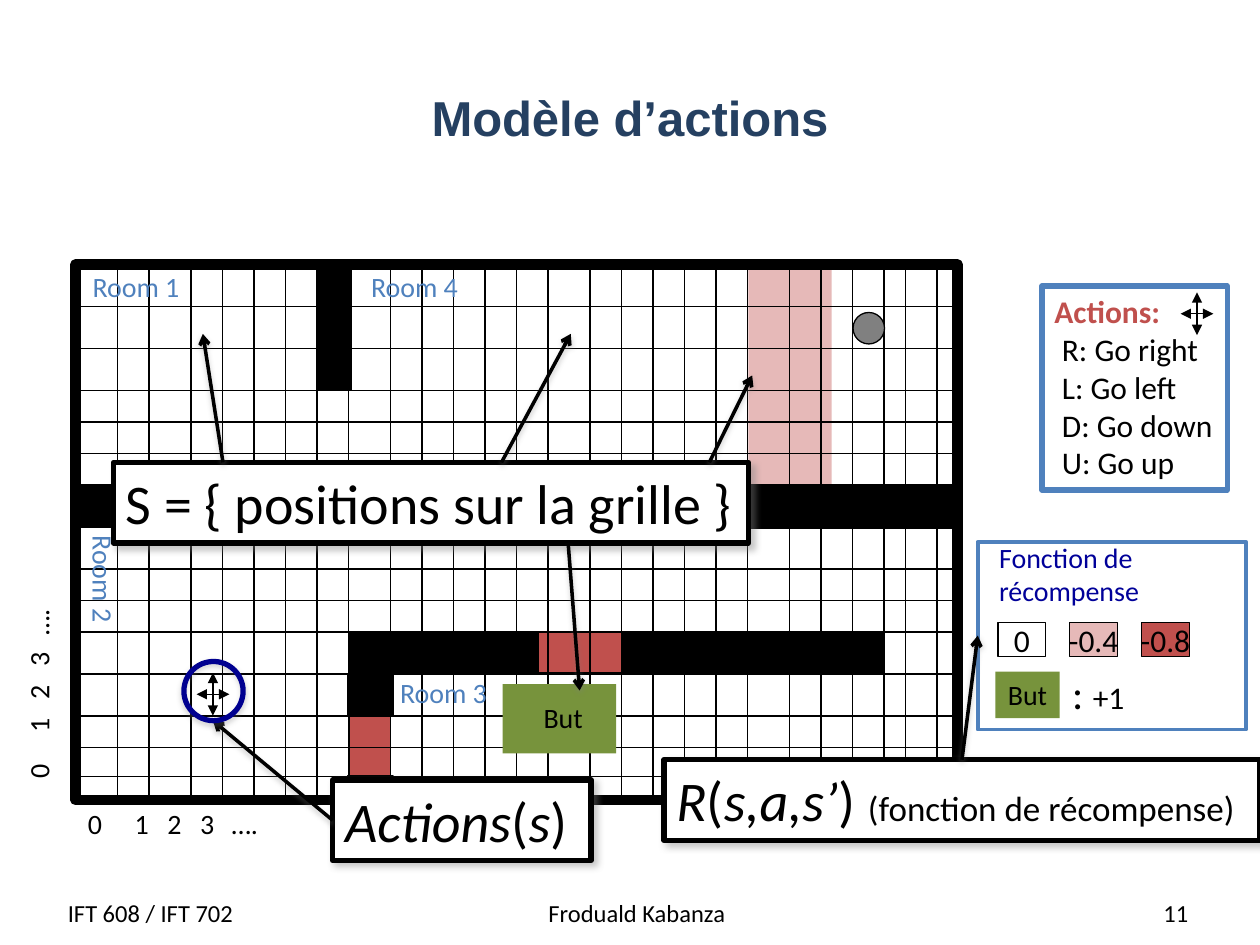
from itertools import accumulate
from lxml import etree
from pptx import Presentation
from pptx.dml.color import RGBColor
from pptx.enum import shapes, text
from pptx.oxml import ns
from pptx.util import Inches, Pt

COLORS = {
    "black": "000000", "white": "FFFFFF", "navy": "254061", "blue": "4F81BD",
    "pink": "E6B9B8", "red": "C0504D", "green": "77933C", "grey": "808080",
    "ink": "000099", "ring": "000090",
}
RECT, OVAL = shapes.MSO_SHAPE.RECTANGLE, shapes.MSO_SHAPE.OVAL
LEFT, CENTER, RIGHT = text.PP_ALIGN.LEFT, text.PP_ALIGN.CENTER, text.PP_ALIGN.RIGHT
TOP, MIDDLE = text.MSO_ANCHOR.TOP, text.MSO_ANCHOR.MIDDLE
NARROW, WIDE = 0.25, 1 / 3
GRID_LEFT, GRID_TOP, GRID_RIGHT, GRID_BOTTOM = 0.6, 2.1, 7.6, 6.35
COLUMNS = ([WIDE, NARROW] + ([WIDE] + [NARROW] * 5) * 3
           + [WIDE] + [NARROW] * 3 + [0.17, NARROW])
ROWS = [WIDE] * 3 + [NARROW] * 3 + [WIDE] * 2 + [NARROW] * 2 + [WIDE] * 2 + [NARROW, 0.23]
BOX_SHADOW = (43, 4, 3, 45)
LINE_SHADOW = (38, 3.1, 1.6, 90)
RING_SHADOW = (35, 3.1, 1.8, 90)


def rgb(name):
    return RGBColor.from_string(COLORS[name])


def sub(parent, tag, **attrs):
    return etree.SubElement(parent, ns.qn(tag), {k: str(v) for k, v in attrs.items()})


def cast_shadow(effects, shadow):
    alpha, blur, dist, angle = shadow
    outer = sub(effects, "a:outerShdw", blurRad=int(Pt(blur)), dist=int(Pt(dist)),
                dir=angle * 60000, rotWithShape=0)
    sub(sub(outer, "a:srgbClr", val=COLORS["grey"]), "a:alpha", val=alpha * 1000)


def style(run, size, color, bold=False, italic=False, font="Calibri"):
    f = run.font
    f.name, f.size, f.bold, f.italic = font, Pt(size), bold, italic
    f.color.rgb = rgb(color)


def write(shape, content, size, color="black", align=LEFT, anchor=TOP, wrap=False):
    tf = shape.text_frame
    tf.text = content
    tf.word_wrap = wrap
    tf.vertical_anchor = anchor
    for p in tf.paragraphs:
        p.alignment = align
        for r in p.runs:
            style(r, size, color)
    return shape


def write_runs(shape, runs, color="black"):
    tf = shape.text_frame
    tf.vertical_anchor = TOP
    p = tf.paragraphs[0]
    p.alignment = LEFT
    for content, size, italic in runs:
        r = p.add_run()
        r.text = content
        style(r, size, color, italic=italic)
    return shape


def block(s, x, y, w, h, fill=None, line=None, width=0.75, kind=RECT, shadow=None):
    sp = s.shapes.add_shape(kind, Inches(x), Inches(y), Inches(w), Inches(h))
    if fill:
        sp.fill.solid()
        sp.fill.fore_color.rgb = rgb(fill)
    else:
        sp.fill.background()
    if line:
        sp.line.color.rgb = rgb(line)
        sp.line.width = Pt(width)
    else:
        sp.line.fill.background()
    sp.shadow.inherit = False
    if shadow:
        cast_shadow(sp._element.spPr.find(ns.qn("a:effectLst")), shadow)
    return sp


def label(s, x, y, w, h, content, size, rotation=0, **kwargs):
    tb = s.shapes.add_textbox(Inches(x), Inches(y), Inches(w), Inches(h))
    tb.rotation = rotation
    return write(tb, content, size, **kwargs)


def line(s, x1, y1, x2, y2, width=0.75, head=None, shadow=None):
    c = s.shapes.add_connector(shapes.MSO_CONNECTOR.STRAIGHT,
                               Inches(x1), Inches(y1), Inches(x2), Inches(y2))
    c.line.color.rgb = rgb("black")
    c.line.width = Pt(width)
    if head:
        sub(c.line._get_or_add_ln(), "a:tailEnd", type=head)
    effects = sub(c._element.spPr, "a:effectLst")
    if shadow:
        cast_shadow(effects, shadow)
    return c


def pointer(s, x1, y1, x2, y2):
    return line(s, x1, y1, x2, y2, 2, "arrow", LINE_SHADOW)


def compass(s, x, y):
    for dx, dy in ((0, 0.17), (0, -0.17), (-0.13, 0), (0.13, 0)):
        line(s, x, y, x + dx, y + dy, head="triangle")


def callout(s, x, y, w):
    sp = block(s, x, y, w, 0.64, "white", "black", 3, shadow=BOX_SHADOW)
    sp.text_frame.word_wrap = True
    return sp


def axis(s, x, y, rotation=0):
    tb = label(s, x, y, 1.63, 0.37, "0\t1\t2\t3\t….", 16, rotation, wrap=True)
    tabs = sub(tb.text_frame.paragraphs[0]._p.get_or_add_pPr(), "a:tabLst")
    for pos in (0.37, 0.63, 0.89, 1.14):
        sub(tabs, "a:tab", pos=int(Inches(pos)), algn="l")


def wall(s, x, y, widths, h=WIDE):
    for left, w in zip(accumulate(widths, initial=x), widths):
        block(s, left, y, w, h, "black", "black")


def grid(s):
    block(s, 5.94, 2.1, 0.66, 1.75, "pink")
    block(s, 4.27, 5.01, 0.67, 0.33, "red", "black")
    block(s, 2.77, 5.65, 0.33, 0.51, "red", "black")
    block(s, GRID_LEFT, GRID_TOP, GRID_RIGHT - GRID_LEFT, GRID_BOTTOM - GRID_TOP,
          line="black", width=6)
    line(s, 2.77, GRID_TOP, 2.77, 3.1, 3)
    line(s, GRID_RIGHT, 4.18, 5.52, 4.18, 3)
    for x in accumulate(COLUMNS, initial=GRID_LEFT):
        if x > GRID_LEFT:
            line(s, x, GRID_TOP, x, GRID_BOTTOM)
    for y in accumulate(ROWS, initial=GRID_TOP):
        if y > GRID_TOP:
            line(s, GRID_LEFT, y, GRID_RIGHT, y)
    for row in range(3):
        wall(s, 2.52, GRID_TOP + row * WIDE, [NARROW])
    wall(s, 0.6, 3.85, [WIDE])
    wall(s, 5.77, 3.85, [NARROW, WIDE, WIDE, NARROW, WIDE, WIDE])
    wall(s, 2.77, 5.01, [WIDE, NARROW, WIDE, WIDE, NARROW])
    wall(s, 4.93, 5.01, [NARROW, WIDE, WIDE, NARROW, 0.42, 0.5])
    wall(s, 2.76, 5.35, [0.36])
    wall(s, 2.76, 6.16, [0.36], 0.19)
    rooms = (("Room 1", 0.63, 2.09, 0), ("Room 4", 2.84, 2.09, 0),
             ("Room 2", 0.37, 4.41, 90), ("Room 3", 3.07, 5.31, 0))
    for name, x, y, rotation in rooms:
        label(s, x, y, 0.9, 0.37, name, 16, rotation, color="blue", align=CENTER)
    block(s, 6.77, 2.48, 0.25, 0.25, "grey", "black", kind=OVAL)
    block(s, 3.99, 5.43, 0.9, 0.55, "green")
    write(block(s, 4.21, 5.51, 0.52, 0.37, "green"), "But", 16, align=CENTER)
    axis(s, 0.6, 6.35)
    axis(s, -0.51, 5.28, 270)


def actions_legend(s):
    sp = block(s, 8.27, 2.27, 1.47, 1.62, line="blue", width=3)
    write(sp, "Actions:\nR: Go right\nL: Go left\nD: Go down\nU: Go up", 18)
    heading, *entries = sp.text_frame.paragraphs
    style(heading.runs[0], 18, "red", bold=True)
    for p in entries:
        p._p.get_or_add_pPr().set("marL", str(int(Inches(0.06))))
    compass(s, 9.5, 2.49)


def reward_legend(s):
    label(s, 7.82, 4.24, 1.33, 0.64, "Fonction de \nrécompense", 16, color="ink", align=CENTER)
    for i, (value, fill) in enumerate((("0", "white"), ("-0.4", "pink"), ("-0.8", "red"))):
        sp = block(s, 7.92 + i * 0.57, 4.94, 0.38, 0.27, fill, "black")
        write(sp, value, 18, align=CENTER, anchor=MIDDLE)
    write(block(s, 7.9, 5.33, 0.51, 0.37, "green"), "But", 16, align=CENTER)
    tb = s.shapes.add_textbox(Inches(8.41), Inches(5.25), Inches(0.62), Inches(0.5))
    write_runs(tb, [(": ", 24, False), ("+1", 18, False)])
    return block(s, 7.76, 4.3, 2.13, 1.49, line="blue", width=2.25)


def callouts(s, reward_box):
    states = callout(s, 0.9, 3.67, 5.04)
    write(states, "S = { positions sur la grille }", 32, wrap=True)
    for ends in ((1.77, 3.67, 1.61, 2.65), (3.98, 3.67, 4.53, 2.65),
                 (5.63, 3.67, 5.97, 2.98), (4.51, 4.32, 4.6, 5.48)):
        pointer(s, *ends)
    reward = callout(s, 5.27, 6.03, 4.73)
    write_runs(reward, [("R", 32, True), ("(", 32, False), ("s,a,s’", 32, True),
                        (") ", 32, False), ("(fonction de récompense)", 20, False)])
    c = pointer(s, 7.64, 6.03, 7.76, 5.05)
    c.begin_connect(reward, 0)
    c.end_connect(reward_box, 1)
    actions = callout(s, 2.64, 6.19, 2.05)
    write_runs(actions, [("Actions", 32, True), ("(", 32, False), ("s", 32, True), (")", 32, False)])
    pointer(s, 2.64, 6.51, 1.69, 5.72).begin_connect(actions, 1)
    block(s, 1.46, 5.25, 0.47, 0.47, line="ring", width=3, kind=OVAL, shadow=RING_SHADOW)
    compass(s, 1.69, 5.51)


def title(s, content):
    sp = s.shapes.title
    sp.left, sp.top, sp.width, sp.height = Inches(0.5), Inches(0.3), Inches(9), Inches(1.25)
    write(sp, content, 28, align=CENTER, anchor=MIDDLE, wrap=True)
    style(sp.text_frame.paragraphs[0].runs[0], 28, "navy", bold=True, font="Arial")


def footer(s):
    for x, w, content, align in ((0.44, 1.93, "IFT 608 / IFT 702", LEFT),
                                 (3.47, 3.17, "Froduald Kabanza", CENTER),
                                 (7.2, 2.33, "11", RIGHT)):
        label(s, x, 7.04, w, 0.4, content, 14, align=align, anchor=MIDDLE, wrap=True)


def main():
    prs = Presentation()
    prs.slide_width, prs.slide_height = Inches(10), Inches(7.5)
    s = prs.slides.add_slide(prs.slide_layouts[5])
    title(s, "Modèle d’actions")
    grid(s)
    actions_legend(s)
    footer(s)
    callouts(s, reward_legend(s))
    prs.save("out.pptx")


if __name__ == "__main__":
    main()
